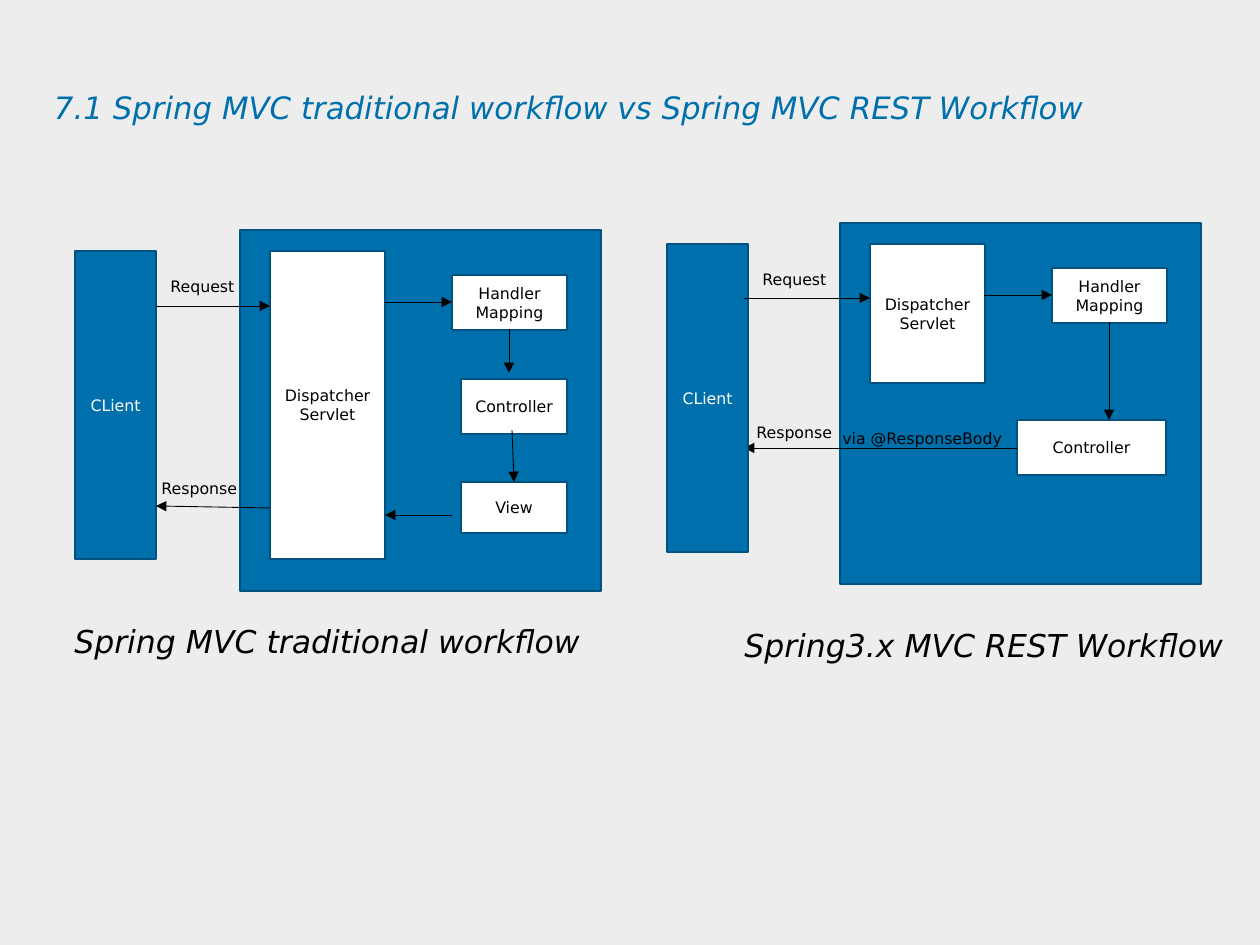
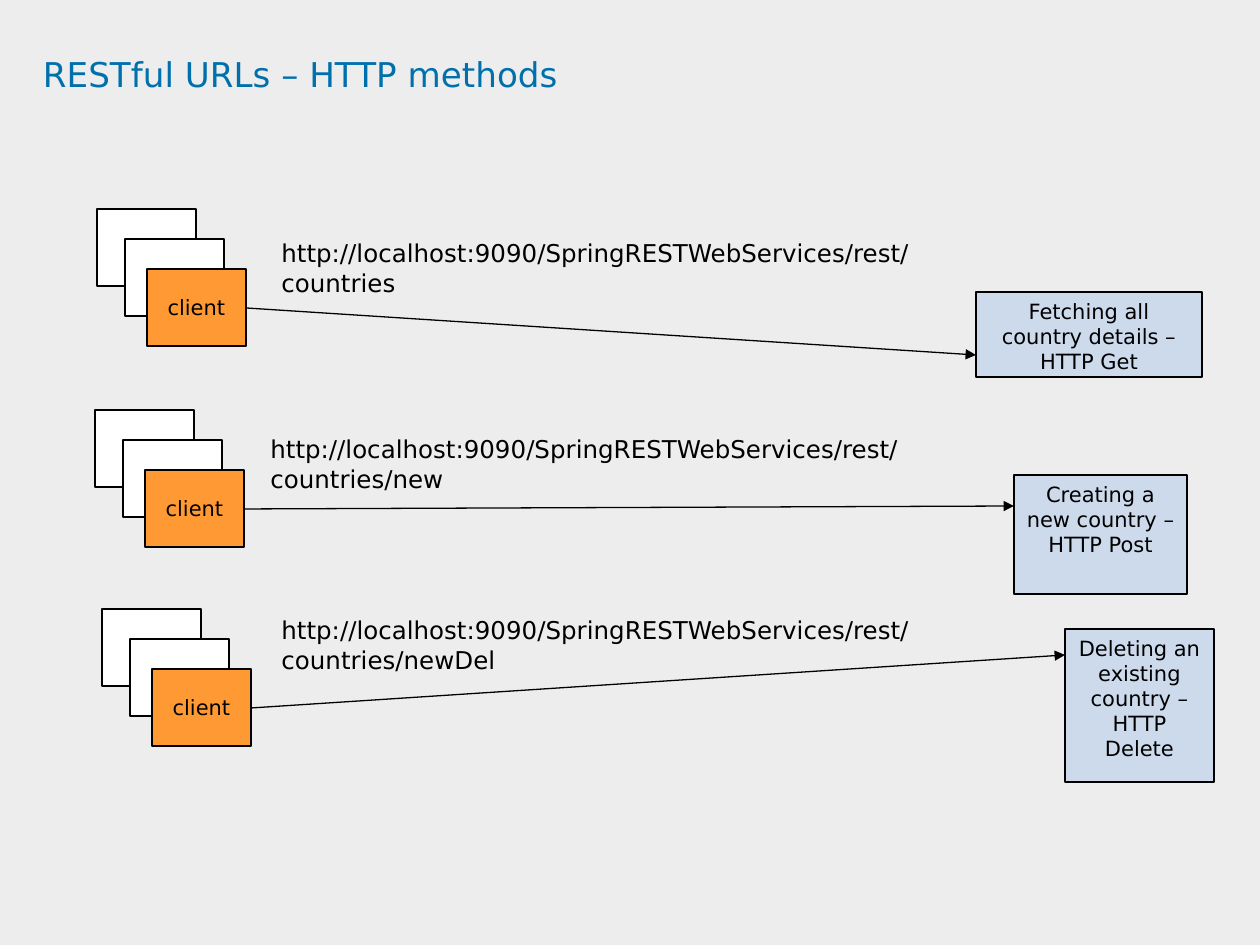
from pptx import Presentation
from pptx.dml.color import RGBColor
from pptx.enum.shapes import MSO_CONNECTOR as Connector, MSO_SHAPE as Shape
from pptx.enum.text import MSO_ANCHOR as Anchor, PP_ALIGN as Align
from pptx.oxml.ns import qn
from pptx.util import Emu, Pt
from lxml.etree import SubElement

EMU_PER_PX = 914400 / 126
FONT = "DejaVu Sans"
COLOURS = {
    "paper": "EDEDED",
    "blue": "0070AD",
    "edge": "005380",
    "white": "FFFFFF",
    "black": "000000",
    "orange": "FF9933",
    "pale": "CCDAEC",
}


def px(length):
    return Emu(round(length * EMU_PER_PX))


def colour(name):
    return RGBColor.from_string(COLOURS[name])


# Shared elements
def write(frame, text, size, ink="black", align=Align.LEFT, italic=False):
    para = frame.paragraphs[0]
    para.text = text
    para.alignment = align
    para.font.name = FONT
    para.font.size = Pt(size)
    para.font.italic = italic
    para.font.color.rgb = colour(ink)
    return para


def add_page(deck):
    page = deck.slides.add_slide(deck.slide_layouts[6])
    page.background.fill.solid()
    page.background.fill.fore_color.rgb = colour("paper")
    return page


def add_text(page, left, top, width, height, text, size, wrap=False, **style):
    box = page.shapes.add_textbox(px(left), px(top), px(width), px(height))
    box.text_frame.word_wrap = wrap
    write(box.text_frame, text, size, **style)
    return box


def add_title(page, left, top, height, text, size, italic=False):
    box = add_text(page, left, top, 1145, height, text, size,
                   wrap=True, ink="blue", italic=italic)
    frame = box.text_frame
    frame.margin_left = frame.margin_right = 0
    frame.margin_top = frame.margin_bottom = 0
    frame.paragraphs[0].line_spacing = 0.9


def add_box(page, left, top, width, height, fill, edge, weight,
            text="", size=9, ink="black", anchor=Anchor.MIDDLE, wrap=True):
    box = page.shapes.add_shape(Shape.RECTANGLE, px(left), px(top),
                                px(width), px(height))
    box.shadow.inherit = False
    box.fill.solid()
    box.fill.fore_color.rgb = colour(fill)
    box.line.color.rgb = colour(edge)
    box.line.width = Pt(weight)
    if text:
        box.text_frame.word_wrap = wrap
        box.text_frame.vertical_anchor = anchor
        write(box.text_frame, text, size, ink, Align.CENTER)


def add_arrow(page, start, end, weight):
    arrow = page.shapes.add_connector(
        Connector.STRAIGHT, *(px(length) for length in (*start, *end)))
    arrow.line.color.rgb = colour("black")
    arrow.line.width = Pt(weight)
    SubElement(arrow.line._get_or_add_ln(), qn("a:tailEnd"), type="triangle")
    SubElement(arrow._element.spPr, qn("a:effectLst"))


# Workflow diagrams
def add_part(page, left, top, width, height, text="", fill="white", ink="black"):
    add_box(page, left, top, width, height, fill, "edge", 1, text, ink=ink)


def add_server(page, left, top, dispatcher_height):
    add_part(page, left, top, 361, 361, fill="blue")
    add_part(page, left + 30, top + 21, 115, dispatcher_height,
             "Dispatcher Servlet")
    add_part(page, left + 212, top + 45, 115, 55, "Handler Mapping")


def add_client(page, left, top):
    add_part(page, left, top, 81, 308, "CLient", fill="blue", ink="white")
    add_text(page, left + 83, top + 20, 91, 31, "Request", 9)


def add_arrows(page, arrows):
    for start, end in arrows:
        add_arrow(page, start, end, 0.5)


def build_workflows(deck):
    page = add_page(deck)
    add_title(page, 54, 93, 63,
              "7.1 Spring MVC traditional workflow vs Spring MVC REST Workflow",
              17.6, italic=True)

    # Traditional workflow
    add_server(page, 240, 230, 308)
    add_part(page, 461, 379, 106, 55, "Controller")
    add_part(page, 461, 482, 106, 51, "View")
    add_client(page, 75, 251)
    add_arrows(page, [
        ((156, 306), (270, 306)),
        ((385, 302), (452, 302)),
        ((509, 329), (509, 373)),
        ((512, 430), (514, 482)),
        ((452, 515), (385, 515)),
        ((270, 508), (156, 506)),
    ])
    add_text(page, 149, 473, 102, 31, "Response", 9)
    add_text(page, 62, 616, 539, 50, "Spring MVC traditional workflow", 18,
             italic=True)

    # REST workflow
    add_server(page, 840, 223, 139)
    add_part(page, 1017, 420, 149, 55, "Controller")
    add_arrows(page, [
        ((984, 295), (1052, 295)),
        ((1109, 322), (1109, 420)),
        ((1017, 448), (744, 448)),
    ])
    add_client(page, 667, 244)
    add_arrows(page, [((744, 298), (870, 298))])
    add_text(page, 830, 423, 186, 31, "via @ResponseBody", 9)
    add_text(page, 744, 417, 102, 31, "Response", 9)
    add_text(page, 732, 620, 517, 50, "Spring3.x MVC REST Workflow", 18,
             italic=True)


# HTTP method rows
def add_client_stack(page, left, top):
    cards = [(0, "white", ""), (28, "white", ""), (50, "orange", "client")]
    for index, (shift, fill, text) in enumerate(cards):
        add_box(page, left + shift, top + 30 * index, 99, 77, fill, "black",
                0.75, text, size=12, wrap=False)


def build_methods(deck):
    page = add_page(deck)
    add_title(page, 43, 58, 118, "RESTful URLs – HTTP methods", 19.5)
    address = "http://localhost:9090/SpringRESTWebServices/rest/countries"
    # stack corner, address box, ending, action box, action, arrow end height
    rows = [
        ((97, 209), (269, 232, 707, 57), "",
         (976, 292, 226, 85), "Fetching all country details – HTTP Get", 355),
        ((95, 410), (258, 428, 770, 57), "/new",
         (1014, 475, 173, 119), "Creating a new country – HTTP Post", 506),
        ((102, 609), (269, 609, 777, 57), "/newDel",
         (1065, 629, 149, 153), "Deleting an existing country – HTTP Delete", 655),
    ]
    for corner, address_box, ending, action_box, action, arrow_end in rows:
        left, top = corner
        add_client_stack(page, left, top)
        add_text(page, *address_box, address + ending, 14, wrap=True)
        add_box(page, *action_box, "pale", "black", 0.75, action, size=12,
                anchor=Anchor.TOP)
        add_arrow(page, (left + 149, top + 99), (action_box[0], arrow_end), 0.75)


def main():
    deck = Presentation()
    deck.slide_width, deck.slide_height = px(1260), px(945)
    build_workflows(deck)
    build_methods(deck)
    deck.save("out.pptx")


if __name__ == "__main__":
    main()
